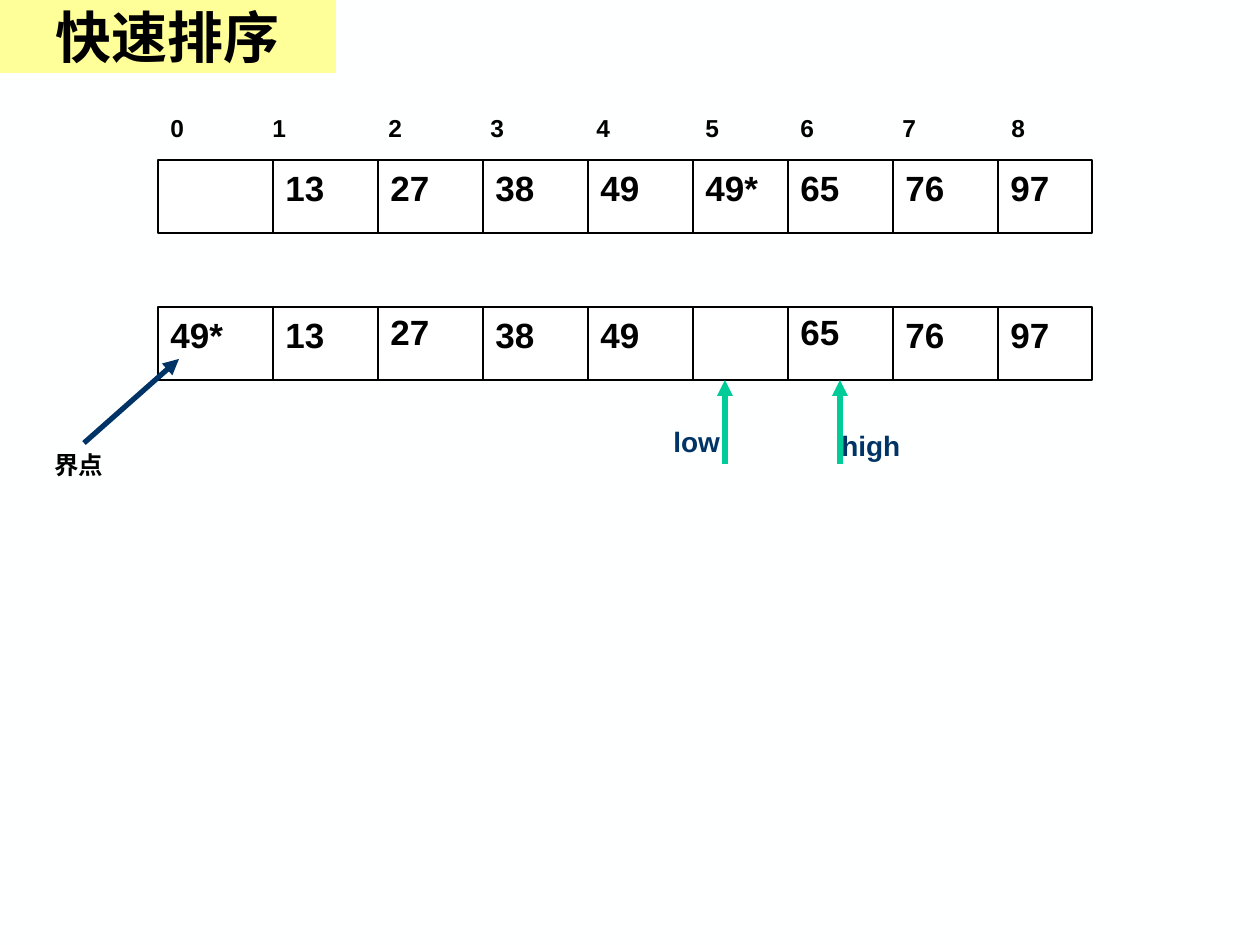
from dataclasses import dataclass
from itertools import accumulate

from lxml.etree import SubElement
from pptx import Presentation
from pptx.dml.color import RGBColor
from pptx.enum.shapes import MSO_CONNECTOR, MSO_SHAPE
from pptx.enum.text import MSO_ANCHOR, PP_ALIGN
from pptx.oxml.ns import qn
from pptx.util import Pt

PX = 914400 // 126


@dataclass(frozen=True)
class Theme:
    background: str = "FEFFFF"
    cell: str = "FFFFFF"
    ink: str = "000000"
    title_fill: str = "FFFF99"
    navy: str = "003366"
    green: str = "00CC99"
    font: str = "Arial"
    title_font: str = "Times New Roman"
    title_size: int = 32
    value_size: int = 20
    pointer_size: int = 16
    label_size: int = 14
    thin: float = 0.75
    thick: int = 3


THEME = Theme()
TITLE = "快速排序"
INDEXES = ["0", "1", "2", "3", "4", "5", "6", "7", "8"]
INDEX_TABS = [102, 218, 320, 426, 535, 630, 732, 841]
COLUMN_WIDTHS = [115, 105, 105, 105, 105, 95, 105, 105, 94]
ROW_LEFT, ROW_HEIGHT = 158, 73
ROWS = [
    {"top": 160, "values": ["", "13", "27", "38", "49", "49*", "65", "76", "97"], "raised": []},
    {"top": 307, "values": ["49*", "13", "27", "38", "49", "", "65", "76", "97"], "raised": ["27", "65"]},
]
POINTERS = [
    {"name": "high", "arrow": 840, "label": (829, 422)},
    {"name": "low", "arrow": 725, "label": (661, 418)},
]
POINTER_TOP, POINTER_BOTTOM = 380, 464


def color(code):
    return RGBColor.from_string(code)


def add_line(page, start, end, stroke, width, arrow=False):
    line = page.shapes.add_connector(
        MSO_CONNECTOR.STRAIGHT, *(value * PX for value in (*start, *end)))
    line.line.color.rgb = color(stroke)
    line.line.width = Pt(width)
    if arrow:
        SubElement(line.line._get_or_add_ln(), qn("a:tailEnd"), type="triangle")
    SubElement(line._element.spPr, qn("a:effectLst"))


def add_rectangle(page, left, top, width, height, fill):
    box = page.shapes.add_shape(
        MSO_SHAPE.RECTANGLE, left * PX, top * PX, width * PX, height * PX)
    box.shadow.inherit = False
    box.fill.solid()
    box.fill.fore_color.rgb = color(fill)
    return box


def write(box, text, size, ink=THEME.ink, font=THEME.font):
    box.text_frame.word_wrap = True
    para = box.text_frame.paragraphs[0]
    span = para.add_run()
    span.text = text
    span.font.name = font
    span.font.size = Pt(size)
    span.font.bold = True
    span.font.color.rgb = color(ink)
    return para


def add_text(page, left, top, width, height, text, size, ink=THEME.ink):
    box = page.shapes.add_textbox(left * PX, top * PX, width * PX, height * PX)
    return write(box, text, size, ink)


def add_row(page, top, values, raised):
    *lefts, right = accumulate(COLUMN_WIDTHS, initial=ROW_LEFT)
    frame = add_rectangle(page, ROW_LEFT, top, right - ROW_LEFT, ROW_HEIGHT, THEME.cell)
    frame.line.color.rgb = color(THEME.ink)
    frame.line.width = Pt(THEME.thin)
    for left in lefts[1:]:
        add_line(page, (left, top), (left, top + ROW_HEIGHT), THEME.ink, THEME.thin)
    for left, value in zip(lefts, values):
        if value:
            lift = 3 if value in raised else 0
            add_text(page, left, top - lift, 84, 55, value, THEME.value_size)


def add_indexes(page):
    para = add_text(page, ROW_LEFT, 107, sum(COLUMN_WIDTHS), 43,
                    "\t".join(INDEXES), THEME.label_size)
    stops = SubElement(para._p.get_or_add_pPr(), qn("a:tabLst"))
    for offset in INDEX_TABS:
        SubElement(stops, qn("a:tab"), pos=str(offset * PX), algn="l")


def add_pointer(page, name, arrow, label):
    add_line(page, (arrow, POINTER_BOTTOM), (arrow, POINTER_TOP),
             THEME.green, THEME.thick, arrow=True)
    add_text(page, *label, 116, 47, name, THEME.pointer_size, THEME.navy)


def add_title(page):
    box = add_rectangle(page, 0, 0, 336, 73, THEME.title_fill)
    box.line.fill.background()
    box.text_frame.vertical_anchor = MSO_ANCHOR.MIDDLE
    para = write(box, TITLE, THEME.title_size, font=THEME.title_font)
    para.alignment = PP_ALIGN.CENTER


def main():
    deck = Presentation()
    deck.slide_width, deck.slide_height = 1260 * PX, 945 * PX
    page = deck.slides.add_slide(deck.slide_layouts[6])
    page.background.fill.solid()
    page.background.fill.fore_color.rgb = color(THEME.background)
    for row in ROWS:
        add_row(page, **row)
    add_indexes(page)
    for pointer in POINTERS:
        add_pointer(page, **pointer)
    add_text(page, 42, 444, 105, 43, "界点", THEME.label_size)
    add_line(page, (84, 443), (179, 359), THEME.navy, THEME.thick, arrow=True)
    add_title(page)
    deck.save("out.pptx")


if __name__ == "__main__":
    main()
